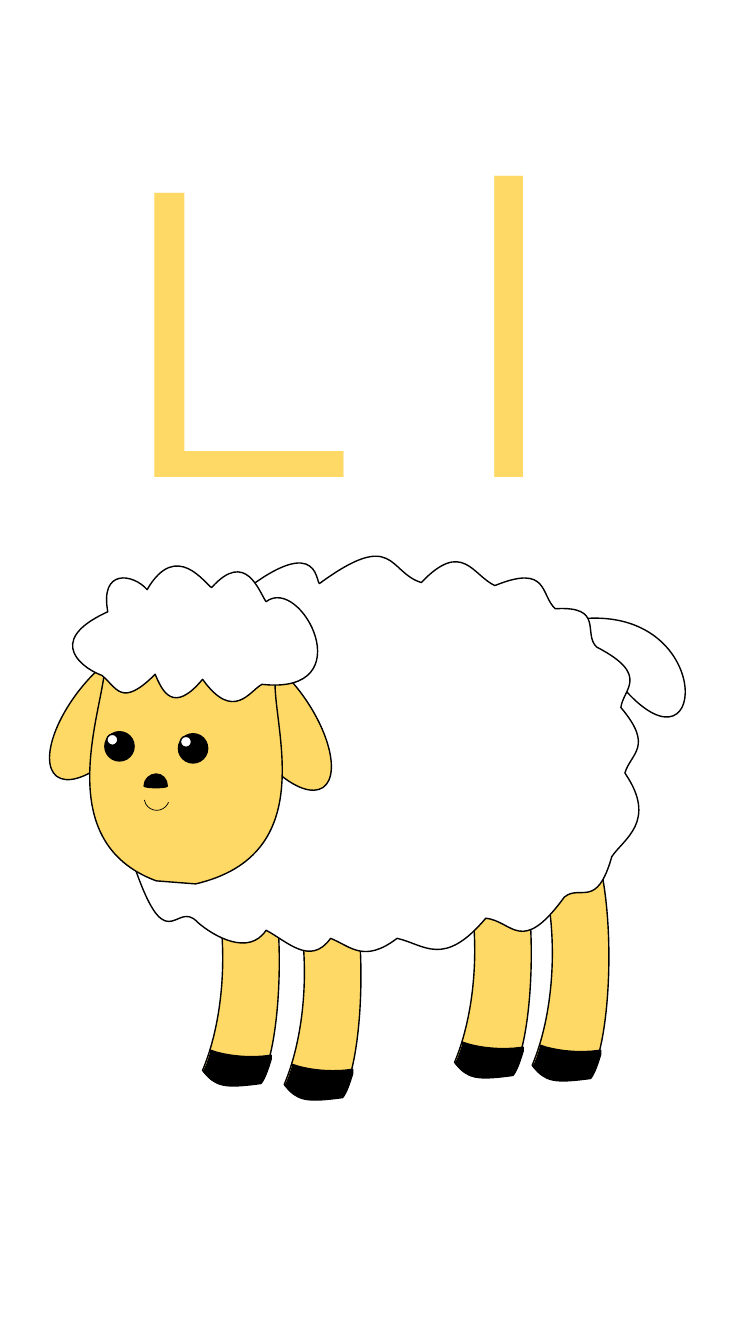
from dataclasses import dataclass

from lxml.etree import SubElement
from pptx import Presentation
from pptx.dml.color import RGBColor
from pptx.enum.shapes import MSO_SHAPE as Preset
from pptx.enum.text import MSO_AUTO_SIZE as AutoSize
from pptx.oxml.ns import qn
from pptx.util import Cm, Pt


@dataclass(frozen=True)
class Theme:
    yellow: str = "FFD966"
    wool: str = "FFFFFF"
    ink: str = "000000"
    font: str = "Montserrat"
    letter_size: float = 290
    letter_outline: float = 0.75
    outline: float = 1
    fine_line: float = 0.5


@dataclass(frozen=True)
class Box:
    left: int
    top: int
    width: int
    height: int


THEME = Theme()
GRID_WIDTH = 750  # drawing units across the sheep's box

# Outlines: a start point, then lines (x, y) or cubic curves (x1, y1, x2, y2, x, y).
LEG = [(0, 0), (-58, 3), (-40, 73, -48, 149, -68, 196),
       (-56, 211, -48, 213, -11, 207), (8, 179, 15, 70, 0, 0)]
HOOF = [(-60, 176), (-60, 179), (-62, 185, -64, 192, -67, 197),
        (-55, 212, -47, 214, -10, 209), (-6, 204, -3, 195, 0, 185),
        (0, 181), (-9, 182), (-24, 183, -39, 182, -54, 178)]
HIPS = [(596, 361), (519, 358), (350, 380), (269, 366)]
TAIL = [(612, 175), (702, 288, 714, 101, 577, 114), (514, 141)]
BODY = [(172, 155), (190, 119, 199, 115, 223, 102),
        (317, 21, 313, 78, 317, 79), (392, 24, 385, 68, 418, 78),
        (459, 35, 469, 71, 491, 81), (545, 59, 536, 91, 551, 104),
        (600, 101, 578, 129, 592, 142), (646, 170, 618, 184, 616, 202),
        (649, 241, 626, 247, 620, 267), (653, 315, 618, 333, 607, 350),
        (592, 403, 576, 377, 560, 390), (517, 449, 509, 414, 482, 411),
        (440, 461, 421, 437, 394, 431), (361, 456, 348, 439, 328, 431),
        (308, 459, 285, 434, 264, 423), (247, 449, 212, 429, 196, 415),
        (173, 390, 165, 463, 127, 340)]
HEAD = [(273, 174), (266, 137, 248, 107, 212, 105), (174, 102),
        (138, 100, 116, 128, 104, 163), (101, 208, 50, 335, 155, 374),
        (194, 377), (319, 348, 270, 220, 273, 174)]
FRINGE = [(264, 97), (257, 87, 244, 45, 210, 83), (204, 80, 175, 35, 146, 85),
          (132, 69, 99, 64, 107, 107), (41, 137, 86, 165, 101, 170),
          (116, 182, 120, 203, 154, 169), (161, 186, 172, 209, 201, 174),
          (232, 217, 248, 185, 260, 179), (361, 190, 299, 70, 264, 97)]
NOSE = [(143, 280), (143, 273, 149, 268, 155, 268),
        (161, 268, 166, 273, 166, 280), (165, 282, 145, 282, 143, 280)]
EARS = [((25, 172, 161, 69), 307.8), ((195, 180, 161, 69), 236.1)]
EYES = [(104, 226), (177, 228)]
EYE_SIZE = 29
GLINT_SIZE = 11
SMILE = (143, 279, 25, 25)
SMILE_ANGLES = (20.75, 169.9)


def rgb(color):
    return RGBColor.from_string(color)


def style(shape, fill=None, weight=THEME.outline):
    shape.shadow.inherit = False
    if fill:
        shape.fill.solid()
        shape.fill.fore_color.rgb = rgb(fill)
    else:
        shape.fill.background()
    shape.line.color.rgb = rgb(THEME.ink)
    shape.line.width = Pt(weight)


def bend(shape, segments):
    """Join the three straight steps of each curved segment into one cubic curve."""
    steps = iter(list(shape._element.iter(qn("a:lnTo"))))
    for segment in segments:
        curve = next(steps)
        if len(segment) == 6:
            curve.tag = qn("a:cubicBezTo")
            for _ in range(2):
                step = next(steps)
                curve.append(step[0])
                step.getparent().remove(step)


def add_outline(slide, box, outline, fill, shift=(0, 0)):
    unit = box.width / GRID_WIDTH
    points = [((x + shift[0]) * unit, (y + shift[1]) * unit)
              for part in outline for x, y in zip(part[::2], part[1::2])]
    builder = slide.shapes.build_freeform(*points[0])
    builder.add_line_segments(points[1:], close=True)
    shape = builder.convert_to_shape(box.left, box.top)
    bend(shape, outline[1:])
    style(shape, fill)


def add_preset(slide, box, preset, frame, fill=None, rotation=0, weight=THEME.outline):
    unit = box.width / GRID_WIDTH
    left, top, width, height = (round(length * unit) for length in frame)
    shape = slide.shapes.add_shape(preset, box.left + left, box.top + top, width, height)
    shape.rotation = rotation
    style(shape, fill, weight)
    return shape


def add_text(slide, box, text, *, size, color, font, outline):
    """Place one line of text whose letters have a thin black outline."""
    frame = slide.shapes.add_textbox(box.left, box.top, box.width, box.height).text_frame
    frame.word_wrap = True
    frame.auto_size = AutoSize.SHAPE_TO_FIT_TEXT
    run = frame.paragraphs[0].add_run()
    run.text = text
    run.font.size = Pt(size)
    run.font.name = font
    run.font.color.rgb = rgb(color)
    properties = run._r.get_or_add_rPr()
    line = SubElement(properties, qn("a:ln"), w=str(int(Pt(outline))))
    solid = SubElement(line, qn("a:solidFill"))
    SubElement(solid, qn("a:srgbClr"), val=THEME.ink)
    properties.insert(0, line)


def draw_body(slide, box):
    for hip in HIPS:
        add_outline(slide, box, LEG, THEME.yellow, hip)
        add_outline(slide, box, HOOF, THEME.ink, hip)
    add_outline(slide, box, TAIL, THEME.wool)
    add_outline(slide, box, BODY, THEME.wool)


def draw_head(slide, box):
    for frame, rotation in EARS:
        add_preset(slide, box, Preset.OVAL, frame, THEME.yellow, rotation)
    add_outline(slide, box, HEAD, THEME.yellow)
    add_outline(slide, box, FRINGE, THEME.wool)
    for x, y in EYES:
        add_preset(slide, box, Preset.OVAL, (x, y, EYE_SIZE, EYE_SIZE), THEME.ink)
        add_preset(slide, box, Preset.OVAL, (x + 2, y + 2.5, GLINT_SIZE, GLINT_SIZE),
                   THEME.wool)
    smile = add_preset(slide, box, Preset.ARC, SMILE, weight=THEME.fine_line)
    for index, angle in enumerate(SMILE_ANGLES):
        smile.adjustments[index] = angle * 0.6
    add_outline(slide, box, NOSE, THEME.ink)


def main():
    deck = Presentation()
    deck.slide_width, deck.slide_height = Cm(19.05), Cm(33.87)
    slide = deck.slides.add_slide(deck.slide_layouts[6])
    sheep = Box(Cm(0), Cm(12.7), Cm(19.05), Cm(16))
    draw_body(slide, sheep)
    draw_head(slide, sheep)
    add_text(slide, Box(Cm(2.49), Cm(1.68), Cm(20.14), Cm(12.65)), "L l",
             size=THEME.letter_size, color=THEME.yellow, font=THEME.font,
             outline=THEME.letter_outline)
    deck.save("out.pptx")


if __name__ == "__main__":
    main()
